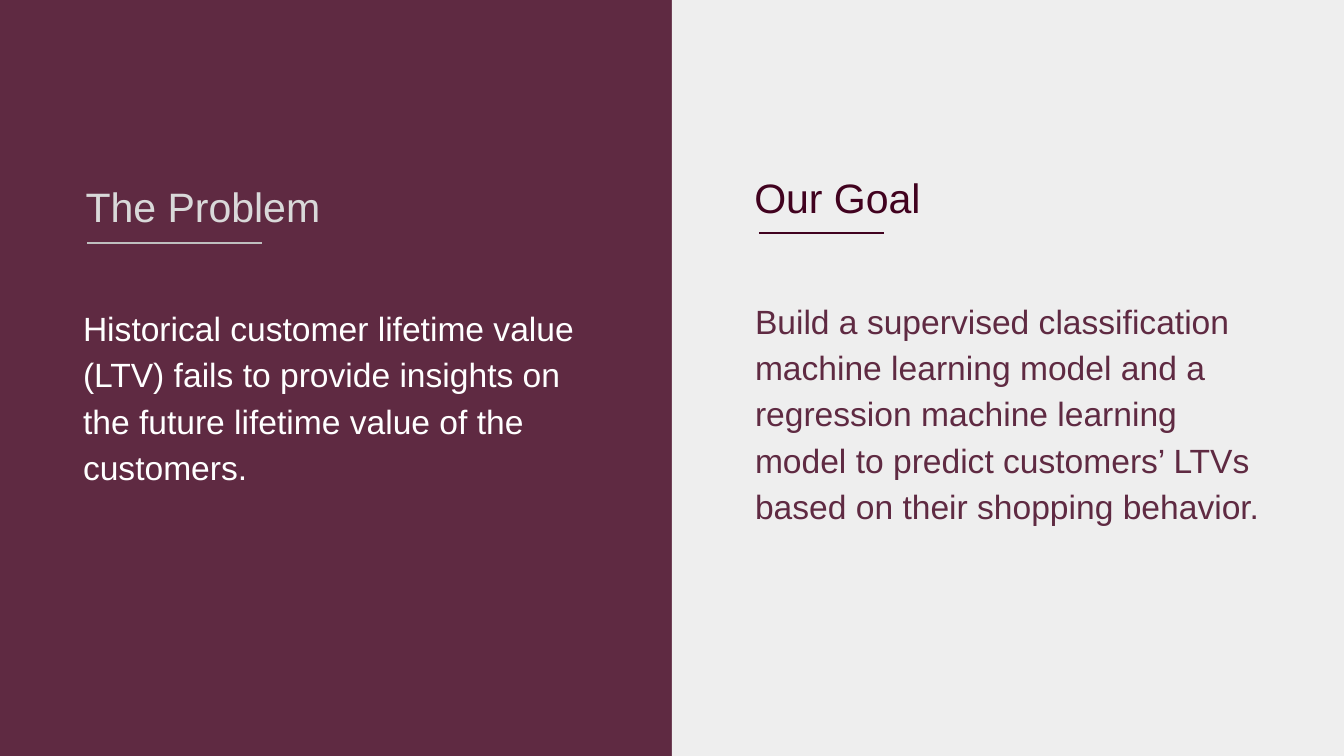
from lxml import etree
from pptx import Presentation
from pptx.dml.color import RGBColor
from pptx.enum.shapes import MSO_CONNECTOR, MSO_SHAPE
from pptx.enum.text import MSO_ANCHOR, MSO_AUTO_SIZE, PP_ALIGN
from pptx.oxml.ns import qn
from pptx.util import Pt

LINE = MSO_CONNECTOR.STRAIGHT
RECTANGLE = MSO_SHAPE.RECTANGLE
BOTTOM, MIDDLE = MSO_ANCHOR.BOTTOM, MSO_ANCHOR.MIDDLE
NO_FIT = MSO_AUTO_SIZE.NONE
LEFT, CENTER = PP_ALIGN.LEFT, PP_ALIGN.CENTER

EMU_PER_PX = 914400 / 134.4
PAGE_WIDTH, PAGE_HEIGHT = 1344, 756
INSET = 13
COMPARISON_LAYOUT = 4
FONT = "Arial"
COLORS = {
    "plum": "5F2A42",
    "dark_plum": "41021F",
    "panel": "EEEEEE",
    "light_gray": "D9D9D9",
    "rule_gray": "BFBFBF",
    "white": "FFFFFF",
}


def px(length):
    return round(length * EMU_PER_PX)


def color(name):
    return RGBColor.from_string(COLORS[name])


def add_panel(page):
    """Cover the right half of the page, behind the placeholders."""
    half = PAGE_WIDTH // 2
    panel = page.shapes.add_shape(RECTANGLE, px(half), 0, px(half), px(PAGE_HEIGHT))
    panel.shadow.inherit = False
    panel.fill.solid()
    panel.fill.fore_color.rgb = color("panel")
    panel.line.fill.background()
    page.shapes.element.insert(2, panel.element)


def fill_placeholder(box, bounds, text, size, color_name, anchor, align):
    box.left, box.top, box.width, box.height = map(px, bounds)
    frame = box.text_frame
    frame.text = text
    frame.word_wrap = True
    frame.auto_size = NO_FIT
    frame.vertical_anchor = anchor
    frame.margin_left = frame.margin_right = px(INSET)
    frame.margin_top = frame.margin_bottom = px(INSET)
    para = frame.paragraphs[0]
    para.alignment = align
    para.space_before = Pt(0)
    font = para.runs[0].font
    font.name = FONT
    font.size = Pt(size)
    font.bold = False
    font.color.rgb = color(color_name)
    return para


def fill_heading(box, bounds, text, color_name):
    para = fill_placeholder(box, bounds, text, 22, color_name, BOTTOM, CENTER)
    remove_bullet(para)


def fill_statement(box, bounds, text, color_name):
    para = fill_placeholder(box, bounds, text, 18, color_name, MIDDLE, LEFT)
    para.line_spacing = 1.15
    para.space_after = Pt(16)
    remove_bullet(para)


def remove_bullet(para):
    properties = para._p.get_or_add_pPr()
    properties.set("marL", "0")
    properties.set("indent", "0")
    etree.SubElement(properties, qn("a:buNone"))


def add_rule(page, left, right, y, color_name):
    rule = page.shapes.add_connector(LINE, px(left), px(y), px(right), px(y))
    rule.line.color.rgb = color(color_name)
    rule.line.width = Pt(1)
    etree.SubElement(rule.element.spPr, qn("a:effectLst"))


def main():
    deck = Presentation()
    deck.slide_width, deck.slide_height = px(PAGE_WIDTH), px(PAGE_HEIGHT)
    page = deck.slides.add_slide(deck.slide_layouts[COMPARISON_LAYOUT])
    page.background.fill.solid()
    page.background.fill.fore_color.rgb = color("plum")
    add_panel(page)

    boxes = {box.placeholder_format.idx: box for box in page.placeholders}
    unused = boxes[3].element
    unused.getparent().remove(unused)

    fill_heading(boxes[0], (24, 149, 358, 95), "The Problem", "light_gray")
    fill_statement(
        boxes[2], (70, 183, 534, 423),
        "Historical customer lifetime value (LTV) fails to provide insights "
        "on the future lifetime value of the customers.",
        "white",
    )
    add_rule(page, 87, 262, 243, "rule_gray")

    fill_heading(boxes[1], (720, 140, 235, 95), "Our Goal", "dark_plum")
    fill_statement(
        boxes[4], (742, 199, 534, 423),
        "Build a supervised classification machine learning model and a "
        "regression machine learning model to predict customers’ LTVs "
        "based on their shopping behavior.",
        "plum",
    )
    add_rule(page, 759, 884, 233, "dark_plum")

    deck.save("out.pptx")


if __name__ == "__main__":
    main()
